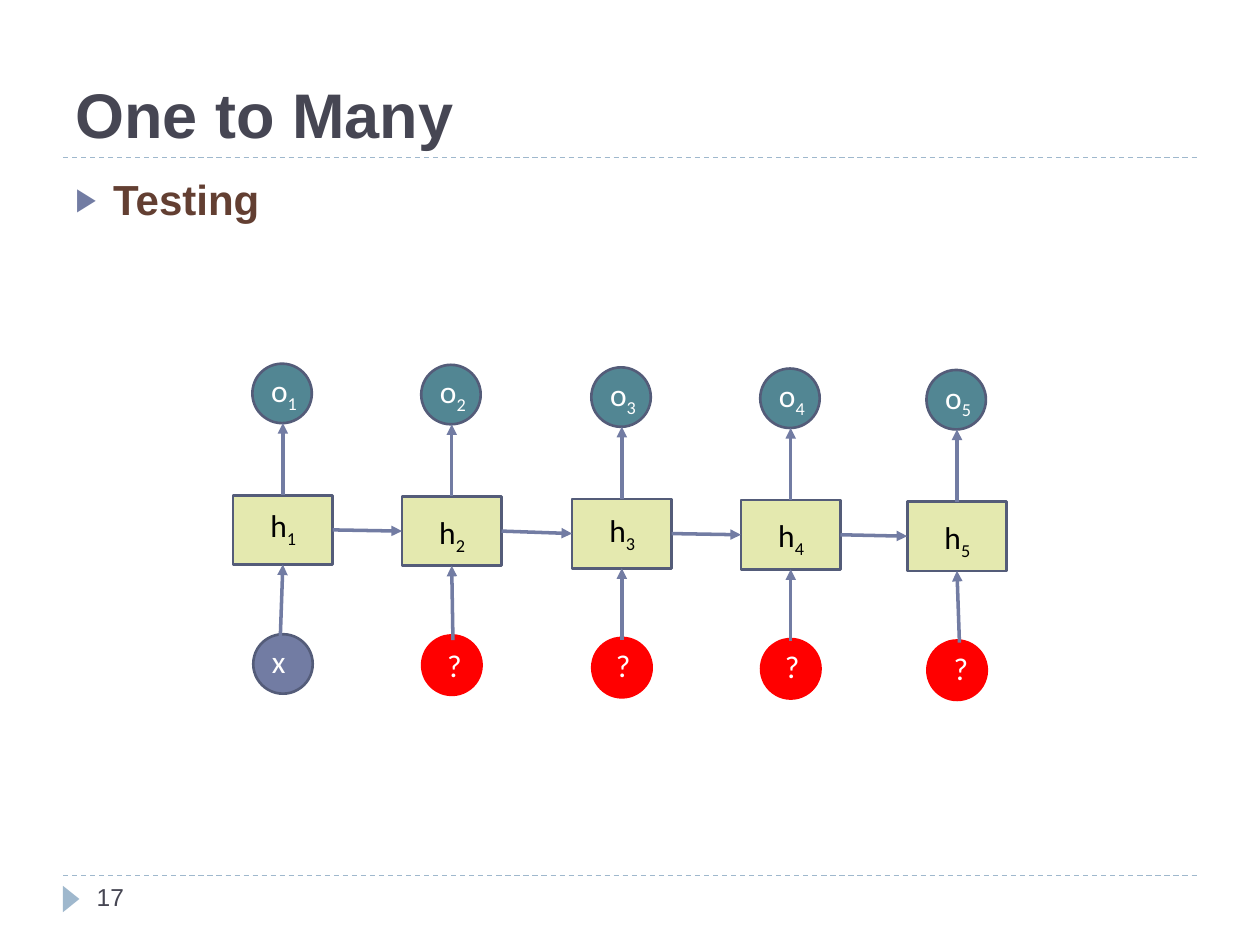
from dataclasses import dataclass

from lxml.etree import SubElement
from pptx import Presentation
from pptx.dml.color import RGBColor
from pptx.enum.dml import MSO_LINE_DASH_STYLE as Dash
from pptx.enum.shapes import MSO_CONNECTOR as Link, MSO_SHAPE as Kind
from pptx.enum.text import MSO_ANCHOR as Anchor, MSO_AUTO_SIZE as Fit, PP_ALIGN as Align
from pptx.oxml.ns import qn
from pptx.util import Pt

WHITE = RGBColor(0xFF, 0xFF, 0xFF)
BLACK = RGBColor(0x00, 0x00, 0x00)
RED = RGBColor(0xFF, 0x00, 0x00)
SLATE = RGBColor(0x46, 0x46, 0x53)
BROWN = RGBColor(0x63, 0x3F, 0x32)
PALE = RGBColor(0x9F, 0xB8, 0xCD)
BLUE = RGBColor(0x72, 0x7C, 0xA3)
EDGE = RGBColor(0x54, 0x5C, 0x79)
TEAL = RGBColor(0x52, 0x86, 0x93)
LIME = RGBColor(0xE4, 0xE9, 0xAF)

BOX_W, BOX_H, DOT = 56.9, 39.6, 34
TAG_H = 28.8


@dataclass
class Step:
    left: float
    top: float
    drop: float
    sign: str
    sign_dx: float
    sign_dy: float
    sign_w: float
    fill: RGBColor
    edge: RGBColor


STEPS = [
    Step(133.2, 283, 2.9, "x", 15.1, 80.6, 23.8, BLUE, EDGE),
    Step(229.7, 283.7, 5.8, "?", 18.7, 82.1, 20.9, RED, RED),
    Step(326.9, 285.1, 3.6, "?", 18, 80.6, 20.9, RED, RED),
    Step(423.4, 285.8, 5.8, "?", 18, 80.6, 20.9, RED, RED),
    Step(518.4, 286.6, 5.8, "?", 19.4, 80.6, 20.9, RED, RED),
]


def write(shape, text: str, *, size: float, color: RGBColor, font: str = "Arial",
          bold: bool = False, sub: str = "", wrap: bool = True,
          anchor: Anchor = Anchor.TOP, bullet: str = "") -> None:
    frame = shape.text_frame
    frame.word_wrap = wrap
    frame.auto_size = Fit.NONE if wrap else Fit.SHAPE_TO_FIT_TEXT
    frame.vertical_anchor = anchor
    para = frame.paragraphs[0]
    para.alignment = Align.LEFT
    if bullet:
        props = para._p.get_or_add_pPr()
        props.set("marL", str(Pt(21.6)))
        props.set("indent", str(Pt(-21.6)))
        SubElement(SubElement(props, qn("a:buClr")), qn("a:srgbClr"), val=str(BLUE))
        SubElement(props, qn("a:buSzPct"), val="76000")
        SubElement(props, qn("a:buFont"), typeface="Arial")
        SubElement(props, qn("a:buChar"), char=bullet)
    for part in filter(None, (text, sub)):
        run = para.add_run()
        run.text = part
        run.font.size = Pt(size)
        run.font.name = font
        run.font.bold = bold
        run.font.color.rgb = color
        if part is sub:
            run._r.get_or_add_rPr().set("baseline", "-25000")


def label(slide, x: float, y: float, w: float, h: float, text: str, **form):
    box = slide.shapes.add_textbox(Pt(x), Pt(y), Pt(w), Pt(h))
    write(box, text, **form)
    return box


def tag(slide, x: float, y: float, w: float, text: str, color: RGBColor, sub: str = ""):
    return label(slide, x, y, w, TAG_H, text, sub=sub, size=18,
                 color=color, font="Calibri", wrap=False)


def block(slide, kind: Kind, x: float, y: float, w: float, h: float,
          fill: RGBColor, edge: RGBColor | None = None):
    shape = slide.shapes.add_shape(kind, Pt(x), Pt(y), Pt(w), Pt(h))
    shape.shadow.inherit = False
    shape.fill.solid()
    shape.fill.fore_color.rgb = fill
    if edge is None:
        shape.line.fill.background()
    else:
        shape.line.color.rgb = edge
        shape.line.width = Pt(1.5)
    return shape


def line(slide, x1: float, y1: float, x2: float, y2: float, color: RGBColor, width: float):
    wire = slide.shapes.add_connector(Link.STRAIGHT, Pt(x1), Pt(y1), Pt(x2), Pt(y2))
    wire.line.color.rgb = color
    wire.line.width = Pt(width)
    SubElement(wire._element.spPr, qn("a:effectLst"))
    return wire


def arrow(slide, x: float, y: float):
    wire = line(slide, x, y, x, y, BLUE, 2)
    SubElement(wire.line._get_or_add_ln(), qn("a:tailEnd"), type="triangle")
    return wire


def rule(slide, y: float) -> None:
    line(slide, 36, y, 684, y, PALE, 0.75).line.dash_style = Dash.DASH


def draw(slide, step: Step, num: int, prev):
    x, y = step.left, step.top
    mid = x + BOX_W / 2
    block(slide, Kind.OVAL, x + 11.5, y + 79.4, DOT, DOT, step.fill, step.edge)
    sign = tag(slide, x + step.sign_dx, y + step.sign_dy, step.sign_w, step.sign, WHITE)
    cell = block(slide, Kind.RECTANGLE, x, y, BOX_W, BOX_H, LIME, EDGE)
    block(slide, Kind.OVAL, x + 11, y - 75.2, DOT, DOT, TEAL, EDGE)
    tag(slide, x + 14.6, y - 74.4, 30.2, "o", WHITE, str(num))
    tag(slide, x + 14.2, y + step.drop, 29.5, "h", BLACK, str(num))
    rise = arrow(slide, mid, y)
    rise.begin_connect(sign, 0)
    rise.end_connect(cell, 0)
    rise.end_connect(cell, 2)
    out = arrow(slide, mid, y - 75.2 + DOT)
    out.begin_connect(cell, 0)
    if prev is not None:
        flow = arrow(slide, x, y)
        flow.begin_connect(prev, 3)
        flow.end_connect(cell, 1)
    return cell


def main() -> None:
    deck = Presentation()
    deck.slide_width, deck.slide_height = Pt(720), Pt(540)
    slide = deck.slides.add_slide(deck.slide_layouts[5])
    rule(slide, 500.4)
    rule(slide, 90)
    mark = block(slide, Kind.ISOSCELES_TRIANGLE, 33.1, 509, 15.1, 9.4, PALE)
    mark.rotation = 90

    title = slide.shapes.title
    title.left, title.top, title.width, title.height = Pt(36), Pt(12.2), Pt(648), Pt(77.8)
    write(title, "One to Many", size=36, color=SLATE, bold=True, anchor=Anchor.BOTTOM)
    label(slide, 48.2, 500.4, 156.2, 28.8, "17", size=14, color=SLATE)
    label(slide, 36, 95.8, 648, 388.8, "Testing", size=24, color=BROWN,
          bold=True, bullet="▶")

    cell = None
    for num, step in enumerate(STEPS, 1):
        cell = draw(slide, step, num, cell)
    deck.save("out.pptx")


if __name__ == "__main__":
    main()
